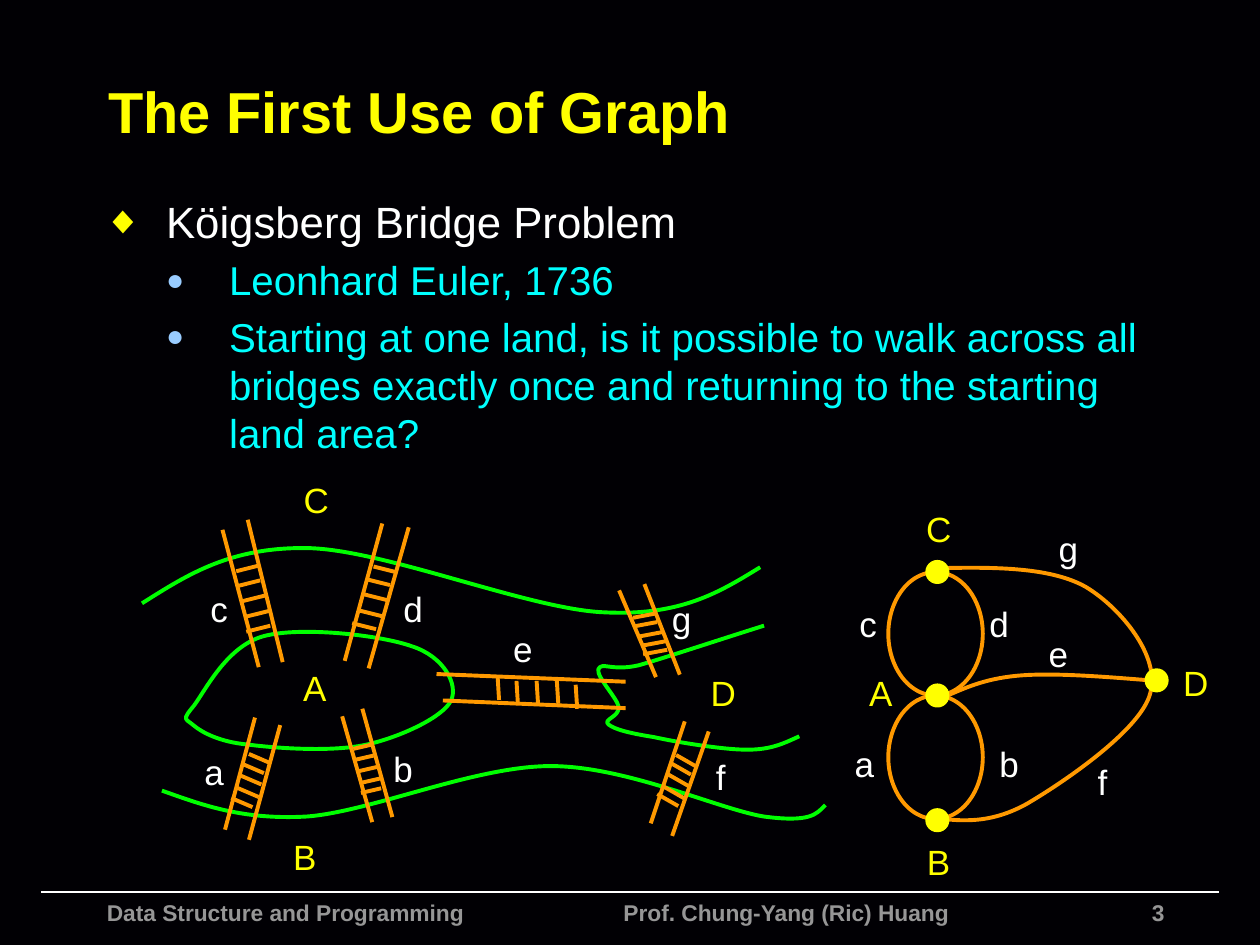
from dataclasses import dataclass
from lxml.etree import SubElement
from pptx import Presentation
from pptx.dml.color import RGBColor
from pptx.enum.shapes import MSO_CONNECTOR, MSO_SHAPE
from pptx.enum.text import MSO_ANCHOR, PP_ALIGN
from pptx.oxml.ns import qn
from pptx.util import Inches, Pt


@dataclass(frozen=True)
class Theme:
    font: str = "Arial"
    background: str = "010004"
    accent: str = "FFFF00"
    plain: str = "FFFFFF"
    detail: str = "00FFFF"
    detail_bullet: str = "99CCFF"
    footer: str = "969696"
    river: str = "00FF00"
    bridge: str = "FF9900"
    title_size: float = 33
    topic_size: float = 25
    detail_size: float = 23
    label_size: float = 20
    footer_size: float = 13
    stroke: float = 2.25


THEME = Theme()

RIVER_BANKS = [
    [(1.14, 4.78), (1.49, 4.56), (1.83, 4.34), (2.44, 4.35), (3.05, 4.36), (4.21, 4.84),
     (4.8, 4.86), (5.4, 4.89), (5.71, 4.7), (6.02, 4.51)],
    [(1.3, 6.28), (1.61, 6.39), (1.93, 6.51), (2.44, 6.48), (2.95, 6.44), (3.77, 6.08),
     (4.37, 6.08), (4.97, 6.08), (5.7, 6.42), (6.06, 6.48), (6.43, 6.53), (6.48, 6.46),
     (6.54, 6.4)],
    [(6.05, 4.97), (5.67, 5.09), (5.28, 5.22), (5.07, 5.28), (4.85, 5.33), (4.78, 5.25),
     (4.75, 5.31), (4.73, 5.37), (4.9, 5.54), (4.91, 5.61), (4.92, 5.69), (4.78, 5.71),
     (4.83, 5.75), (4.88, 5.79), (5, 5.82), (5.19, 5.85), (5.37, 5.89), (5.74, 5.95),
     (5.93, 5.95), (6.12, 5.95), (6.22, 5.9), (6.33, 5.85)],
]
ISLAND = [
    (1.54, 5.6), (1.63, 5.48), (1.8, 5.13), (2.09, 5.05), (2.38, 4.97), (3.02, 5.04),
    (3.27, 5.13), (3.52, 5.21), (3.64, 5.43), (3.58, 5.56), (3.52, 5.69), (3.18, 5.85),
    (2.91, 5.91), (2.64, 5.97), (2.2, 5.94), (1.97, 5.91), (1.74, 5.89), (1.6, 5.81),
    (1.54, 5.76), (1.47, 5.7), (1.44, 5.72), (1.54, 5.6)]

# rails, rung vector, rung starts
BRIDGES = [
    ([(1.77, 4.22, 2.05, 5.28), (1.97, 4.14, 2.24, 5.24)], (0.16, -0.04),
     [(1.89, 4.53), (1.89, 4.65), (1.93, 4.77), (1.97, 4.89), (1.97, 5.01)]),
    ([(3.03, 4.17, 2.74, 5.23), (3.24, 4.2, 2.93, 5.29)], (0.16, 0.04),
     [(2.98, 4.5), (2.92, 4.6), (2.9, 4.72), (2.87, 4.85), (2.81, 4.95)]),
    ([(2.72, 5.7, 2.95, 6.51), (2.88, 5.64, 3.11, 6.47)], (0.13, -0.03),
     [(2.82, 5.94), (2.82, 6.03), (2.85, 6.12), (2.88, 6.21), (2.88, 6.29)]),
    ([(2.02, 5.71, 1.79, 6.57), (2.22, 5.77, 1.98, 6.65)], (0.14, 0.06),
     [(1.99, 5.99), (1.94, 6.07), (1.92, 6.16), (1.9, 6.26), (1.85, 6.34)]),
    ([(3.53, 5.56, 4.95, 5.62), (3.48, 5.35, 4.95, 5.41)], (-0.01, -0.16),
     [(3.96, 5.54), (4.11, 5.58), (4.27, 5.58), (4.43, 5.57), (4.58, 5.61)]),
    ([(4.92, 4.7, 5.2, 5.36), (5.12, 4.65, 5.39, 5.34)], (0.16, -0.03),
     [(5.04, 4.9), (5.04, 4.97), (5.08, 5.05), (5.12, 5.12), (5.12, 5.19)]),
    ([(5.43, 5.74, 5.17, 6.52), (5.62, 5.82, 5.34, 6.62)], (0.14, 0.08),
     [(5.38, 6), (5.33, 6.06), (5.31, 6.15), (5.28, 6.25), (5.23, 6.31)]),
]
MAP_LABELS = {
    "A": (2.5, 5.24), "B": (2.42, 6.58), "C": (2.51, 3.75), "D": (5.74, 5.28),
    "a": (1.7, 5.91), "b": (3.2, 5.88), "c": (1.74, 4.61), "d": (3.28, 4.61),
    "e": (4.15, 4.93), "f": (5.72, 5.95), "g": (5.41, 4.69)}

LOOP_TOPS = [4.54, 5.52]
GRAPH_EDGES = [
    [(7.44, 4.51), (7.89, 4.5), (8.34, 4.5), (8.62, 4.66), (8.9, 4.83), (9.21, 5.21),
     (9.13, 5.5), (9.06, 5.79), (8.44, 6.21), (8.15, 6.38), (7.86, 6.54), (7.63, 6.52),
     (7.4, 6.49)],
    [(9.13, 5.4), (8.76, 5.37), (8.38, 5.34), (8.11, 5.36), (7.84, 5.38), (7.68, 5.45),
     (7.52, 5.52)]]
GRAPH_NODES = [(7.36, 4.46), (7.36, 5.44), (7.36, 6.43), (9.1, 5.32)]
GRAPH_LABELS = {
    "A": (6.99, 5.28), "B": (7.45, 6.62), "C": (7.45, 3.98), "D": (9.49, 5.2),
    "a": (6.86, 5.84), "b": (8.01, 5.84), "c": (6.89, 4.73), "d": (7.93, 4.73),
    "e": (8.4, 4.97), "f": (8.75, 5.99), "g": (8.48, 4.14)}


def rgb(color):
    return RGBColor.from_string(color)


def write(paragraph, text, *, size, color, bold=False, align=PP_ALIGN.LEFT):
    paragraph.alignment = align
    run = paragraph.add_run()
    run.text = text
    run.font.name = THEME.font
    run.font.size = Pt(size)
    run.font.bold = bold
    run.font.color.rgb = rgb(color)


def add_frame(shapes, left, top, width, height, *, side=0.1, wrap=True, anchor=MSO_ANCHOR.TOP):
    frame = shapes.add_textbox(Inches(left), Inches(top), Inches(width), Inches(height)).text_frame
    frame.word_wrap = wrap
    frame.vertical_anchor = anchor
    frame.margin_left = frame.margin_right = Inches(side)
    frame.margin_top = frame.margin_bottom = Inches(0.05)
    return frame


def add_bullet(paragraph, mark, color, percent, indent):
    properties = paragraph._p.get_or_add_pPr()
    properties.set("marL", str(Inches(indent)))
    properties.set("indent", str(Inches(-0.5)))
    SubElement(SubElement(properties, qn("a:buClr")), qn("a:srgbClr"), val=color)
    SubElement(properties, qn("a:buSzPct"), val=str(percent * 1000))
    SubElement(properties, qn("a:buFont"), typeface=THEME.font)
    SubElement(properties, qn("a:buChar"), char=mark)


def set_stroke(shape, color, weight=THEME.stroke):
    shape.line.color.rgb = rgb(color)
    shape.line.width = Pt(weight)
    shape._element.spPr.find(qn("a:ln")).set("cap", "sq")


def add_line(shapes, x1, y1, x2, y2, color=THEME.bridge, weight=THEME.stroke):
    line = shapes.add_connector(MSO_CONNECTOR.STRAIGHT, *map(Inches, (x1, y1, x2, y2)))
    set_stroke(line, color, weight)
    SubElement(line._element.spPr, qn("a:effectLst"))


def style_outline(shape, color, fill=None):
    shape.shadow.inherit = False
    set_stroke(shape, color)
    if fill:
        shape.fill.solid()
        shape.fill.fore_color.rgb = rgb(fill)
    else:
        shape.fill.background()


def bend_segments(curve):
    segments = list(curve._element.iter(qn("a:lnTo")))
    for first, second, third in zip(segments[::3], segments[1::3], segments[2::3]):
        first.tag = qn("a:cubicBezTo")
        for segment in (second, third):
            first.append(segment[0])
            segment.getparent().remove(segment)


def add_curve(shapes, controls, color, close=False):
    start, *rest = [tuple(map(Inches, point)) for point in controls]
    builder = shapes.build_freeform(*start)
    builder.add_line_segments(rest, close=close)
    curve = builder.convert_to_shape()
    bend_segments(curve)
    style_outline(curve, color)


def add_ellipse(shapes, left, top, width, height, color, fill=None):
    ellipse = shapes.add_shape(MSO_SHAPE.OVAL, *map(Inches, (left, top, width, height)))
    style_outline(ellipse, color, fill)


def add_labels(shapes, labels):
    for name, (center, top) in labels.items():
        frame = add_frame(shapes, center - 0.15, top, 0.3, 0.43, side=0.05, wrap=False)
        write(frame.paragraphs[0], name, size=THEME.label_size, align=PP_ALIGN.CENTER,
              color=THEME.accent if name.isupper() else THEME.plain)


def add_footer(shapes):
    style = dict(size=THEME.footer_size, color=THEME.footer, bold=True)
    add_line(shapes, 0.33, 7.08, 9.67, 7.08, THEME.plain, 1)
    number = add_frame(shapes, 6.17, 7.08, 3.17, 0.18).paragraphs[0]
    write(number, "3", align=PP_ALIGN.RIGHT, **style)
    credit = add_frame(shapes, 0.75, 7.08, 7.24, 0.42).paragraphs[0]
    write(credit, "Data Structure and Programming\tProf. Chung-Yang (Ric) Huang", **style)
    stops = SubElement(credit._p.get_or_add_pPr(), qn("a:tabLst"))
    SubElement(stops, qn("a:tab"), pos=str(Inches(4.1)), algn="l")


def add_body(shapes):
    topic = (THEME.topic_size, THEME.plain, "◆", THEME.accent, 90, 0.5)
    detail = (THEME.detail_size, THEME.detail, "●", THEME.detail_bullet, 75, 1)
    points = [
        ("Köigsberg Bridge Problem", topic),
        ("Leonhard Euler, 1736", detail),
        ("Starting at one land, is it possible to walk across all bridges exactly once "
         "and returning to the starting land area?", detail)]
    frame = add_frame(shapes, 0.72, 1.5, 8.5, 2.29)
    for index, (text, (size, color, *bullet)) in enumerate(points):
        paragraph = frame.add_paragraph() if index else frame.paragraphs[0]
        write(paragraph, text, size=size, color=color)
        paragraph.space_before = Pt(size * 0.2)
        add_bullet(paragraph, *bullet)


def add_bridge_map(shapes):
    for bank in RIVER_BANKS:
        add_curve(shapes, bank, THEME.river)
    add_curve(shapes, ISLAND, THEME.river, close=True)
    for rails, (dx, dy), rungs in BRIDGES:
        for rail in rails:
            add_line(shapes, *rail)
        for x, y in rungs:
            add_line(shapes, x, y, x + dx, y + dy)
    add_labels(shapes, MAP_LABELS)


def add_graph(shapes):
    for top in LOOP_TOPS:
        add_ellipse(shapes, 7.05, top, 0.75, 0.98, THEME.bridge)
    for edge in GRAPH_EDGES:
        add_curve(shapes, edge, THEME.bridge)
    for left, top in GRAPH_NODES:
        add_ellipse(shapes, left, top, 0.16, 0.16, THEME.accent, THEME.accent)
    add_labels(shapes, GRAPH_LABELS)


def main():
    deck = Presentation()
    deck.slide_width, deck.slide_height = Inches(10), Inches(7.5)
    slide = deck.slides.add_slide(deck.slide_layouts[6])
    slide.background.fill.solid()
    slide.background.fill.fore_color.rgb = rgb(THEME.background)
    add_footer(slide.shapes)
    title = add_frame(slide.shapes, 0.76, 0.37, 8.84, 1.01, anchor=MSO_ANCHOR.MIDDLE)
    write(title.paragraphs[0], "The First Use of Graph", size=THEME.title_size,
          color=THEME.accent, bold=True)
    add_body(slide.shapes)
    add_bridge_map(slide.shapes.add_group_shape().shapes)
    add_graph(slide.shapes.add_group_shape().shapes)
    deck.save("out.pptx")


main()
